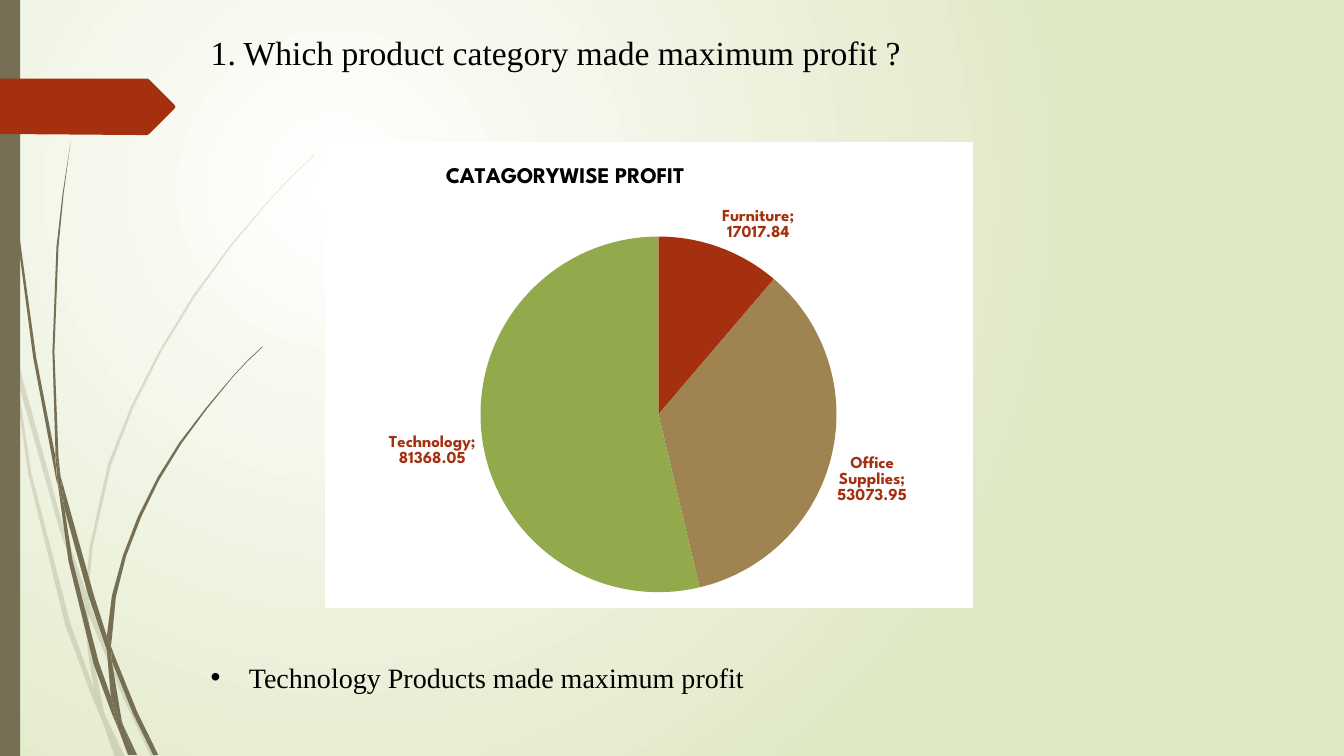
"""Build the slide on which product category made maximum profit."""
from lxml import etree
from pptx import Presentation
from pptx import util as u
from pptx.chart.data import CategoryChartData
from pptx.dml.color import RGBColor
from pptx.enum import chart as charts, shapes, text
from pptx.oxml import parse_xml
from pptx.oxml.ns import nsdecls, qn

BLACK = RGBColor(0, 0, 0)
WHITE = RGBColor(255, 255, 255)
MEADOW = RGBColor(0xDF, 0xE8, 0xC4)
BARK = RGBColor(0x76, 0x6F, 0x54)
RUST = RGBColor(0xA5, 0x30, 0x10)
SAND = RGBColor(0x9F, 0x83, 0x51)
LEAF = RGBColor(0x92, 0xAA, 0x4C)
CELL = u.Inches(0.01)


def write(frame, words, size=20, font="Times New Roman", color=BLACK, bold=False, hang=0, bullet=None):
    frame.text = words
    line = frame.paragraphs[0]
    line.alignment = text.PP_ALIGN.LEFT
    style = line.runs[0].font
    style.size, style.name, style.bold = u.Pt(size), font, bold
    style.color.rgb = color
    if hang:
        props = line._p.get_or_add_pPr()
        props.set("marL", str(u.Inches(hang)))
        props.set("indent", str(-u.Inches(hang)))
        if bullet:
            etree.SubElement(props, qn("a:buFont")).set("typeface", "Arial")
            etree.SubElement(props, qn("a:buChar")).set("char", bullet)


def outline(parent, corners, color, opacity=100):
    pen = parent.build_freeform(*corners[0], scale=CELL)
    pen.add_line_segments(corners[1:])
    blade = pen.convert_to_shape()
    blade.shadow.inherit = False
    blade.line.fill.background()
    blade.fill.solid()
    blade.fill.fore_color.rgb = color
    if opacity < 100:
        tint = blade._element.spPr.find(".//" + qn("a:srgbClr"))
        etree.SubElement(tint, qn("a:alpha")).set("val", str(opacity * 1000))


deck = Presentation()
deck.slide_width, deck.slide_height = u.Inches(13.33), u.Inches(7.5)
slide = deck.slides.add_slide(deck.slide_layouts[5])

backdrop = slide.background.fill
backdrop.gradient()
for stop, color, position in zip(backdrop.gradient_stops, (WHITE, MEADOW), (0, 1)):
    stop.color.rgb, stop.position = color, position
gradient = slide._element.find(".//" + qn("a:gradFill"))
gradient.replace(gradient.find(qn("a:lin")), parse_xml(
    f'<a:path {nsdecls("a")} path="circle">'
    '<a:fillToRect l="50000" t="50000" r="100000" b="100000"/></a:path>'))

pale_blades = [
    [(11, 350), (9, 322), (0, 282), (0, 299), (10, 344)],
    [(58, 522), (84, 599), (85, 586), (62, 520), (14, 345), (17, 376)],
    [(92, 607), (88, 596), (88, 610), (123, 694), (150, 751), (155, 751), (127, 692)],
    [(119, 751), (124, 751), (105, 711)],
    [(93, 683), (70, 619), (31, 469), (17, 376), (11, 350), (28, 470), (65, 621), (92, 693),
     (101, 714), (99, 707)],
    [(84, 599), (87, 646), (93, 683), (96, 692), (105, 711), (103, 706), (91, 646), (88, 610),
     (88, 608)],
    [(88, 584), (92, 542), (110, 462), (132, 405), (160, 349), (193, 295), (229, 245), (268, 198),
     (290, 175), (312, 154), (312, 153), (289, 175), (268, 197), (228, 244), (191, 294), (158, 348),
     (130, 403), (107, 461), (89, 542), (85, 584), (85, 586), (88, 596)],
    [(101, 714), (114, 751), (119, 751)],
    [(88, 608), (88, 610), (88, 596), (85, 586), (84, 599)],
    [(96, 692), (93, 683), (99, 707), (101, 714), (119, 751), (105, 711)],
]
dark_blades = [
    [(7, 110), (17, 233), (33, 355), (56, 477), (57, 481), (55, 457), (55, 453), (36, 355),
     (19, 232), (8, 109), (5, 48), (4, 0), (3, 0), (4, 48)],
    [(88, 592), (106, 645), (106, 633), (106, 631), (93, 590), (60, 472), (64, 505)],
    [(113, 649), (110, 641), (111, 656), (132, 708), (152, 749), (157, 749), (136, 706)],
    [(110, 691), (98, 657), (72, 556), (64, 505), (57, 477), (68, 557), (93, 659), (111, 708),
     (117, 722), (116, 717)],
    [(60, 472), (58, 453), (54, 349), (58, 245), (63, 193), (70, 141), (62, 193), (56, 245),
     (52, 349), (55, 449)],
    [(133, 749), (136, 749), (122, 719)],
    [(57, 477), (64, 505), (60, 472), (55, 449), (55, 453)],
    [(111, 633), (115, 592), (125, 552), (140, 513), (158, 476), (180, 440), (205, 406), (231, 374),
     (245, 359), (261, 344), (260, 344), (245, 358), (231, 373), (204, 405), (178, 439), (156, 474),
     (137, 512), (122, 551), (111, 591), (106, 631), (110, 641)],
    [(117, 722), (127, 749), (131, 749)],
    [(106, 645), (110, 691), (116, 706), (122, 719), (121, 716), (111, 656), (109, 651)],
    [(106, 645), (109, 651), (111, 656), (110, 641), (106, 631), (106, 633)],
    [(116, 706), (110, 691), (116, 717), (117, 722), (130, 749), (133, 749), (122, 719)],
]
for blades, opacity in ((pale_blades, 20), (dark_blades, 100)):
    tuft = slide.shapes.add_group_shape().shapes
    for corners in blades:
        outline(tuft, corners, BARK, opacity)

edge = slide.shapes.add_shape(shapes.MSO_SHAPE.RECTANGLE, 0, 0, 20 * CELL, 750 * CELL)
edge.shadow.inherit = False
edge.fill.solid()
edge.fill.fore_color.rgb = BARK
edge.line.fill.background()

outline(slide.shapes, [(173, 108), (148, 133), (146, 134), (136, 134), (0, 133), (0, 78),
                       (136, 78), (146, 78), (148, 79), (173, 104), (174, 106)], RUST)

question = slide.shapes.title
question.left, question.top = 199 * CELL, 27 * CELL
question.width, question.height = 755 * CELL, 114 * CELL
question.text_frame.vertical_anchor = text.MSO_ANCHOR.TOP
question.text_frame.auto_size = text.MSO_AUTO_SIZE.NONE
write(question.text_frame, "1. Which product category made maximum profit ?", size=24, hang=0.25)

profits = CategoryChartData()
profits.categories = ["Furniture", "Office Supplies", "Technology"]
profits.add_series("Series 1", (17017.84, 53073.95, 81368.05))
pie = slide.shapes.add_chart(
    charts.XL_CHART_TYPE.PIE, 322 * CELL, 141 * CELL, 643 * CELL, 462 * CELL, profits).chart
pie.has_legend = False
pie.font.name, pie.font.size = "League Spartan", u.Pt(10)
pie.font.color.rgb = BLACK
write(pie.chart_title.text_frame, "CATAGORYWISE PROFIT", size=16, font="League Spartan", bold=True)

plot = pie.plots[0]
plot.vary_by_categories = True
for index, color in enumerate((RUST, SAND, LEAF)):
    slice_format = plot.series[0].points[index].format
    slice_format.fill.solid()
    slice_format.fill.fore_color.rgb = color
    slice_format.line.fill.background()

labels = plot.series[0].data_labels
labels.show_value = labels.show_category_name = True
labels.show_percentage = labels.show_legend_key = False
labels.position = charts.XL_LABEL_POSITION.OUTSIDE_END
labels.font.name, labels.font.size, labels.font.bold = "League Spartan", u.Pt(12), True
labels.font.color.rgb = RUST
labels._element.find(qn("c:showBubbleSize")).addnext(
    parse_xml(f'<c:separator {nsdecls("c")}>; </c:separator>'))

chart_root = pie._chartSpace.chart
for owner, target, shares in (
        (chart_root.find(qn("c:title")), "", {"x": 0.18, "y": 0.04}),
        (chart_root.plotArea, "inner", {"x": 0.24, "y": 0.2, "w": 0.55, "h": 0.77})):
    for old in owner.findall(qn("c:layout")):
        owner.remove(old)
    layout = parse_xml(f'<c:layout {nsdecls("c")}><c:manualLayout/></c:layout>')
    if target:
        etree.SubElement(layout[0], qn("c:layoutTarget")).set("val", target)
    for axis in ("x", "y"):
        etree.SubElement(layout[0], qn(f"c:{axis}Mode")).set("val", "edge")
    for axis, share in shares.items():
        etree.SubElement(layout[0], qn(f"c:{axis}")).set("val", str(share))
    owner.insert(0 if target else 1, layout)
chart_root.addnext(parse_xml(
    f'<c:spPr {nsdecls("c", "a")}><a:solidFill><a:srgbClr val="{WHITE}"/></a:solidFill>'
    f'<a:ln w="9525"><a:solidFill><a:srgbClr val="{WHITE}"/></a:solidFill></a:ln></c:spPr>'))

answer = slide.shapes.add_textbox(199 * CELL, 650 * CELL, 552 * CELL, 44 * CELL).text_frame
answer.word_wrap = False
answer.auto_size = text.MSO_AUTO_SIZE.SHAPE_TO_FIT_TEXT
write(answer, "Technology Products made maximum profit", hang=0.38, bullet="•")

deck.save("out.pptx")
